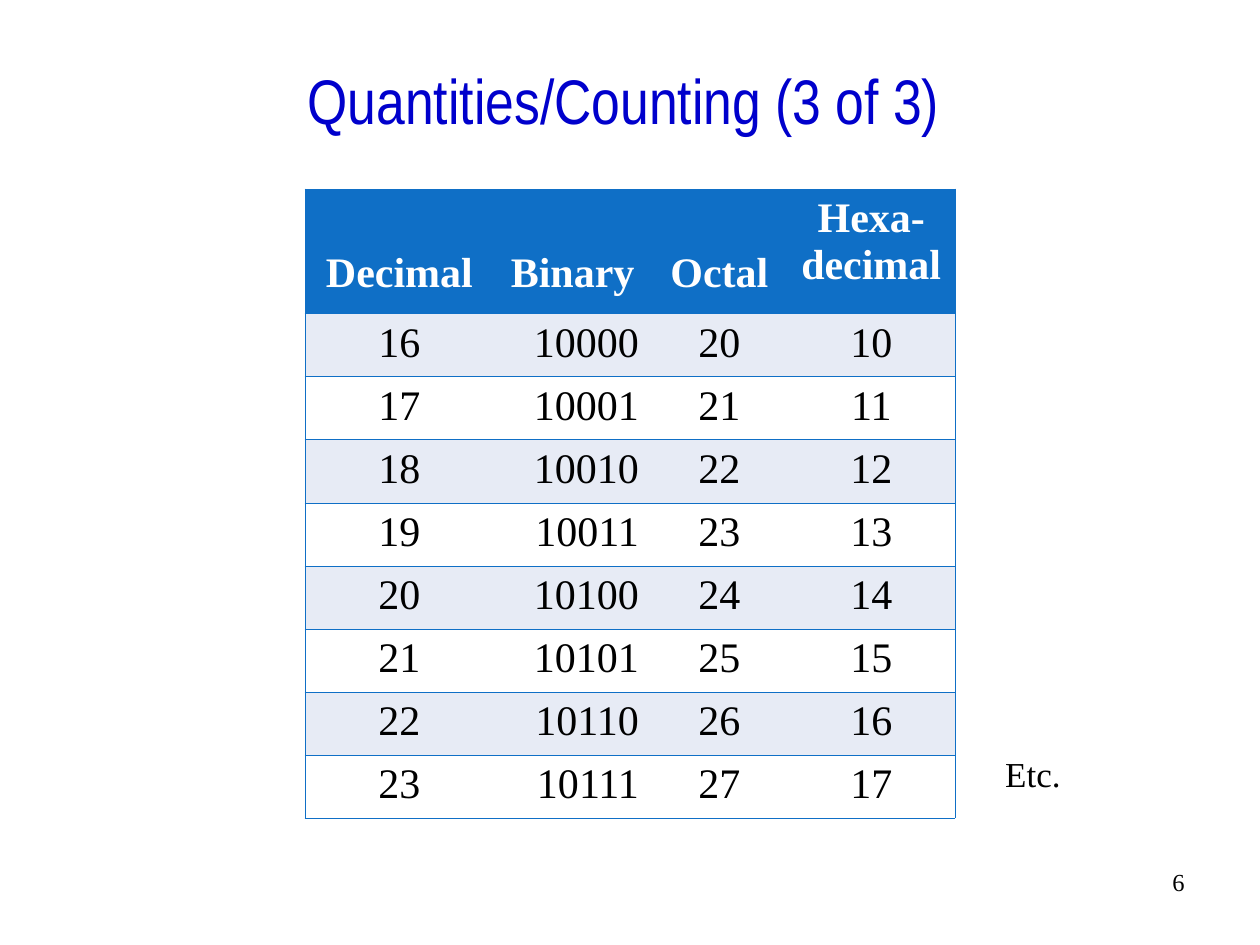
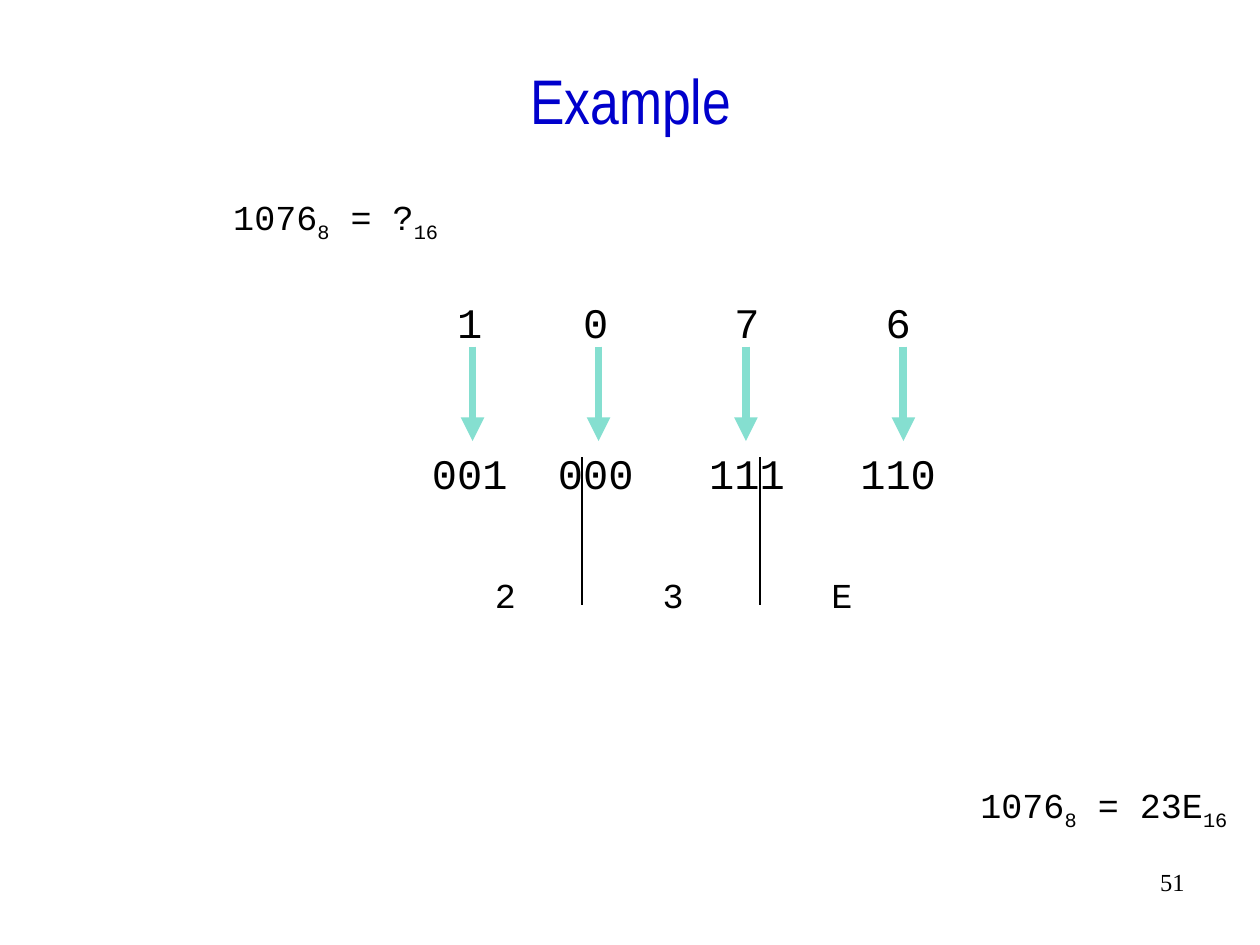
from dataclasses import dataclass

from lxml.etree import SubElement
from pptx import Presentation
from pptx.dml.color import RGBColor as RGB
from pptx.enum.shapes import MSO_CONNECTOR as Connector
from pptx.enum.text import MSO_ANCHOR as Anchor, PP_ALIGN as Align
from pptx.oxml.ns import qn
from pptx.util import Inches, Pt


@dataclass(frozen=True)
class Theme:
    """Colours, typefaces and type sizes shared by the slides."""
    title_blue: RGB = RGB(0x00, 0x00, 0xCC)
    table_blue: RGB = RGB(0x0F, 0x6F, 0xC6)
    band: RGB = RGB(0xE7, 0xEB, 0xF5)
    arrow: RGB = RGB(0x85, 0xDF, 0xD0)
    white: RGB = RGB(0xFF, 0xFF, 0xFF)
    black: RGB = RGB(0x00, 0x00, 0x00)
    title_face: str = "Arial Narrow"
    serif: str = "Times New Roman"
    mono: str = "Courier New"
    title_size: int = 36
    large: int = 24
    normal: int = 20
    small: int = 14
    border: float = 0.45


THEME = Theme()


def add_run(paragraph, text, face, size, color=THEME.black, bold=False, baseline=None):
    """Append one styled run, optionally raised or lowered."""
    run = paragraph.add_run()
    run.text = text
    font = run.font
    font.name, font.size, font.bold = face, Pt(size), bold
    font.color.rgb = color
    if baseline:
        font._element.set("baseline", str(baseline * 1000))


def set_tabs(paragraph, stops, align):
    """Give a paragraph tab stops at the given inches."""
    tab_list = SubElement(paragraph._p.get_or_add_pPr(), qn("a:tabLst"))
    for stop in stops:
        SubElement(tab_list, qn("a:tab"), pos=str(Inches(stop)), algn=align)


def add_text_frame(slide, left, top, width, height, anchor=Anchor.TOP):
    """Add a wrapping text box and return its frame."""
    box = slide.shapes.add_textbox(*map(Inches, (left, top, width, height)))
    frame = box.text_frame
    frame.word_wrap, frame.vertical_anchor = True, anchor
    return frame


def add_label(slide, bounds, text, face, size, align=Align.LEFT,
              color=THEME.black, anchor=Anchor.TOP):
    """Add a text box holding a single run."""
    paragraph = add_text_frame(slide, *bounds, anchor).paragraphs[0]
    paragraph.alignment = align
    add_run(paragraph, text, face, size, color)


def add_page(deck, title, number):
    """Add a blank slide with its title and page number."""
    slide = deck.slides.add_slide(deck.slide_layouts[6])
    add_label(slide, (0.17, 0.33, 9.67, 0.92), title, THEME.title_face,
              THEME.title_size, Align.CENTER, THEME.title_blue, Anchor.MIDDLE)
    add_label(slide, (7.42, 6.83, 2.08, 0.5), str(number), THEME.serif,
              THEME.small, Align.RIGHT)
    return slide


def set_borders(cell, sides):
    """Draw the listed sides of a cell and hide the others."""
    properties = cell._tc.get_or_add_tcPr()
    for index, side in enumerate("LRTB"):
        line = SubElement(properties, qn(f"a:ln{side}"), w=str(Pt(THEME.border)))
        if side in sides:
            fill = SubElement(line, qn("a:solidFill"))
            SubElement(fill, qn("a:srgbClr"), val=str(THEME.table_blue))
        else:
            SubElement(line, qn("a:noFill"))
        properties.insert(index, line)


def add_counting_table(slide, headings, first, last):
    """Tabulate a range of numbers in four number systems."""
    widths = (1.5, 1.25, 1.08, 1.33)
    heights = [0.99] + [0.5] * (last - first + 1)
    rows = [headings] + [(str(n), f"{n:b}", f"{n:o}", f"{n:X}")
                         for n in range(first, last + 1)]
    bounds = (2.42, 1.5, sum(widths), sum(heights))
    table = slide.shapes.add_table(len(rows), len(widths), *map(Inches, bounds)).table
    for column, width in zip(table.columns, widths):
        column.width = Inches(width)
    for r, (values, height) in enumerate(zip(rows, heights)):
        table.rows[r].height = Inches(height)
        is_heading = r == 0
        fill = THEME.table_blue if is_heading else THEME.band if r % 2 else THEME.white
        for c, value in enumerate(values):
            cell = table.cell(r, c)
            cell.fill.solid()
            cell.fill.fore_color.rgb = fill
            set_borders(cell, "TB" + {0: "L", len(widths) - 1: "R"}.get(c, ""))
            paragraph = cell.text_frame.paragraphs[0]
            paragraph.alignment = Align.RIGHT if c == 1 and not is_heading else Align.CENTER
            for i, line in enumerate(value.split("\n")):
                if i:
                    paragraph.add_line_break()
                add_run(paragraph, line, THEME.serif, THEME.large,
                        THEME.white if is_heading else THEME.black, is_heading)
            if is_heading and "\n" not in value:
                cell.vertical_anchor = Anchor.BOTTOM
                cell.margin_bottom = Inches(0.14)


def add_equation(slide, left, top, align, octal, hexadecimal):
    """Write an octal number equal to a hexadecimal one, bases lowered."""
    paragraph = add_text_frame(slide, left, top, 4.67, 0.48).paragraphs[0]
    paragraph.alignment = align
    for text, baseline in ((octal, None), ("8", -25),
                           (f" = {hexadecimal}", None), ("16", -25)):
        add_run(paragraph, text, THEME.mono, THEME.normal, baseline=baseline)


def add_vertical(slide, x, top, bottom, color, weight, arrow=False):
    """Draw a vertical line, with an arrowhead below if asked."""
    line = slide.shapes.add_connector(Connector.STRAIGHT,
                                      *map(Inches, (x, top, x, bottom)))
    line.line.color.rgb = color
    line.line.width = Pt(weight)
    if arrow:
        SubElement(line.line._get_or_add_ln(), qn("a:tailEnd"), type="triangle")
    SubElement(line._element.spPr, qn("a:effectLst"))


def add_digit_expansion(slide, octal):
    """Set each octal digit above its three bits, joined by arrows."""
    frame = add_text_frame(slide, 3.33, 2.3, 4.67, 3.05)
    bits = [f"{int(digit, 8):03b}" for digit in octal]
    for i, row in enumerate((octal, bits)):
        paragraph = frame.add_paragraph() if i else frame.paragraphs[0]
        set_tabs(paragraph, (0.3, 1.3, 2.5, 3.7), "ctr")
        if i:
            paragraph.space_before = Pt(57.5)
        add_run(paragraph, "".join(f"\t{item}" for item in row), THEME.mono, THEME.large)
    for x in (3.75, 4.75, 5.92, 7.17):
        add_vertical(slide, x, 2.75, 3.5, THEME.arrow, 4.5, arrow=True)


def add_regrouping(slide, hexadecimal):
    """Set the hexadecimal digits below the bits, split by dividers."""
    paragraph = add_text_frame(slide, 3.83, 4.5, 3.58, 0.44).paragraphs[0]
    set_tabs(paragraph, (1.33, 2.67), "l")
    add_run(paragraph, "\t".join(hexadecimal), THEME.mono, THEME.normal)
    for x in (4.62, 6.03):
        add_vertical(slide, x, 3.63, 4.8, THEME.black, 1)


def main():
    """Build both slides and save the deck."""
    deck = Presentation()
    deck.slide_width, deck.slide_height = Inches(10), Inches(7.5)

    counting = add_page(deck, "Quantities/Counting (3 of 3) ", 6)
    add_counting_table(counting, ("Decimal", "Binary", "Octal", "Hexa-\ndecimal"), 16, 23)
    add_label(counting, (7.88, 5.92, 0.64, 0.44), "Etc.", THEME.serif, THEME.normal)

    example = add_page(deck, "Example", 51)
    add_equation(example, 0.33, 1.5, Align.CENTER, "1076", "?")
    add_digit_expansion(example, "1076")
    add_regrouping(example, "23E")
    add_equation(example, 5.17, 6.17, Align.RIGHT, "1076", "23E")

    deck.save("out.pptx")


if __name__ == "__main__":
    main()
